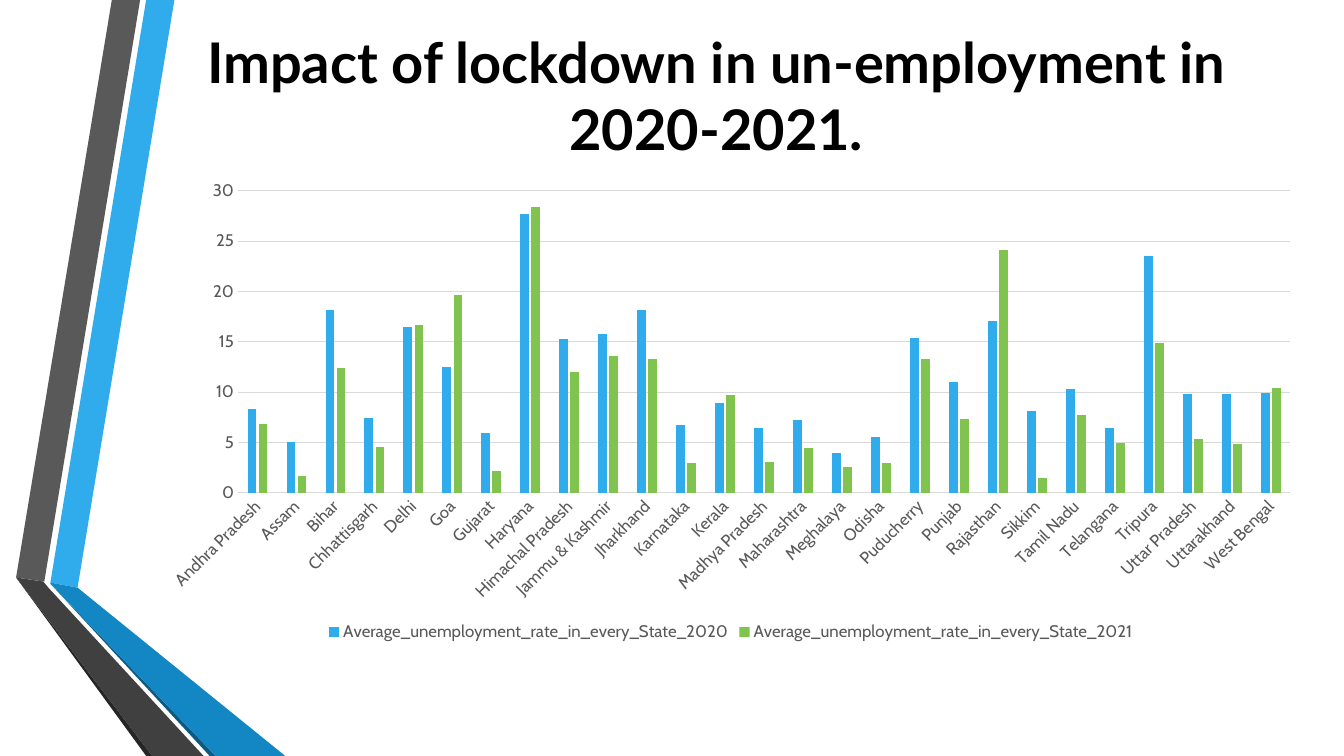
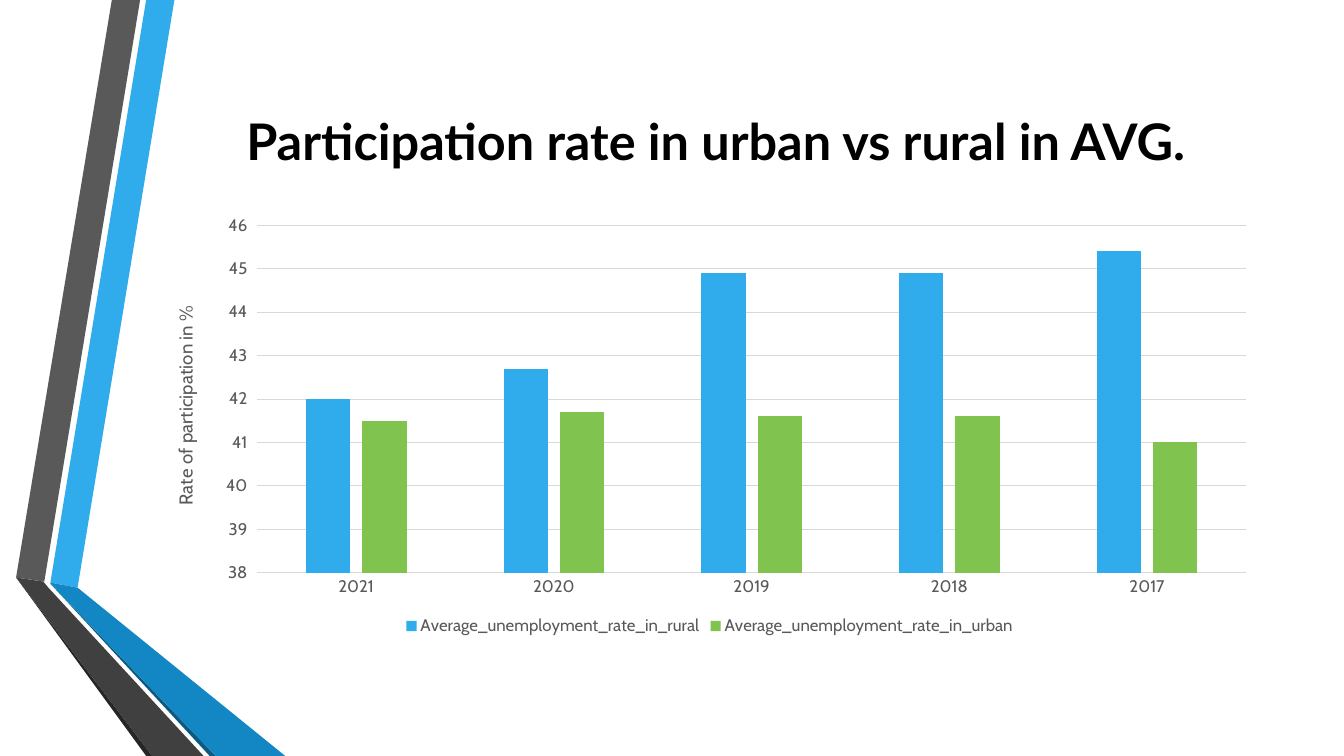
from lxml import etree
from pptx import Presentation
from pptx.chart.data import CategoryChartData
from pptx.dml.color import RGBColor
from pptx.enum.chart import (
    XL_CHART_TYPE, XL_LEGEND_POSITION, XL_TICK_LABEL_POSITION, XL_TICK_MARK)
from pptx.enum.text import MSO_ANCHOR, PP_ALIGN
from pptx.oxml.ns import qn
from pptx.util import Inches, Pt

COLUMNS = XL_CHART_TYPE.COLUMN_CLUSTERED
BOTTOM = XL_LEGEND_POSITION.BOTTOM
NO_TICK = XL_TICK_MARK.NONE
LOW = XL_TICK_LABEL_POSITION.LOW
MIDDLE = MSO_ANCHOR.MIDDLE
CENTER = PP_ALIGN.CENTER

# Shared look
TITLE_FONT, CHART_FONT = "Lato", "Cabin"
BLACK, LABEL, RULE = "000000", "595959", "D9D9D9"
SERIES_COLORS = ["30ACEC", "80C34F"]

# The slide is a grid of 1333 columns by 750 rows
CELL = Inches(0.01)
COLS, ROWS = 1333, 750

# Folded ribbons at the left edge, as (colour, corners in grid cells)
RIBBONS = [
    ("30ACEC", [(50, 578), (77, 583), (173, 0), (145, 0)]),
    ("595959", [(139, 0), (111, 0), (16, 573), (44, 577)]),
    ("262626", [(16, 573), (145, ROWS), (151, ROWS)]),
    ("0C5A82", [(50, 579), (208, ROWS), (214, ROWS)]),
    ("1287C3", [(50, 578), (50, 579), (214, ROWS), (283, ROWS), (77, 583)]),
    ("404040", [(16, 573), (151, ROWS), (202, ROWS), (48, 583), (43, 577)]),
]

# Boxes are left, top, width, height in grid cells; plots are shares of the chart
SLIDES = [
    {
        "title": "Impact of lockdown in un-employment in 2020-2021.",
        "title_box": (147, 0, 1127, 188),
        "title_size": 40,
        "chart_box": (147, 170, 1156, 471),
        "plot": {"x": 0.077, "y": 0.041, "w": 0.903, "h": 0.636},
        "scale": (0, 30, 5),
        "label_angle": -45,
        "cats": [
            "Andhra Pradesh", "Assam", "Bihar", "Chhattisgarh", "Delhi", "Goa",
            "Gujarat", "Haryana", "Himachal Pradesh", "Jammu & Kashmir",
            "Jharkhand", "Karnataka", "Kerala", "Madhya Pradesh", "Maharashtra",
            "Meghalaya", "Odisha", "Puducherry", "Punjab", "Rajasthan", "Sikkim",
            "Tamil Nadu", "Telangana", "Tripura", "Uttar Pradesh",
            "Uttarakhand", "West Bengal",
        ],
        "series": {
            "Average_unemployment_rate_in_every_State_2020": [
                8.3, 5, 18.1, 7.4, 16.5, 12.5, 5.9, 27.7, 15.3, 15.8, 18.2, 6.7,
                8.9, 6.4, 7.2, 3.9, 5.5, 15.4, 11, 17.1, 8.1, 10.3, 6.4, 23.5,
                9.8, 9.8, 9.9],
            "Average_unemployment_rate_in_every_State_2021": [
                6.8, 1.7, 12.4, 4.5, 16.7, 19.6, 2.2, 28.4, 12, 13.6, 13.3, 2.9,
                9.7, 3, 4.4, 2.5, 2.9, 13.3, 7.3, 24.1, 1.5, 7.7, 4.9, 14.9,
                5.3, 4.8, 10.4],
        },
    },
    {
        "title": "Participation rate in urban vs rural in AVG.",
        "title_box": (162, 75, 1096, 128),
        "title_size": 36,
        "chart_box": (150, 205, 1108, 430),
        "plot": {"x": 0.095, "y": 0.043, "w": 0.885, "h": 0.802},
        "scale": (38, 46, 1),
        "label_angle": 0,
        "axis_title": "Rate of participation in %",
        "cats": ["2021", "2020", "2019", "2018", "2017"],
        "series": {
            "Average_unemployment_rate_in_rural": [42, 42.7, 44.9, 44.9, 45.4],
            "Average_unemployment_rate_in_urban": [41.5, 41.7, 41.6, 41.6, 41],
        },
    },
]


def rgb(color):
    return RGBColor.from_string(color)


def place(element, index, mode, shares):
    """Fix a chart part at the given shares of the chart's size."""
    old = element.find(qn("c:layout"))
    if old is not None:
        element.remove(old)
    layout = etree.Element(qn("c:layout"))
    element.insert(index, layout)
    manual = etree.SubElement(layout, qn("c:manualLayout"))
    if mode == "inner":
        etree.SubElement(manual, qn("c:layoutTarget")).set("val", mode)
    for key in ("x", "y"):
        etree.SubElement(manual, qn(f"c:{key}Mode")).set("val", "edge")
    for key, share in shares.items():
        etree.SubElement(manual, qn(f"c:{key}")).set("val", str(share))


prs = Presentation()
prs.slide_width, prs.slide_height = COLS * CELL, ROWS * CELL

for page in SLIDES:
    s = prs.slides.add_slide(prs.slide_layouts[6])

    # Ribbons
    for color, corners in RIBBONS:
        outline = s.shapes.build_freeform(*corners[0], scale=CELL)
        outline.add_line_segments(corners[1:], close=True)
        sp = outline.convert_to_shape()
        sp.shadow.inherit = False
        sp.fill.solid()
        sp.fill.fore_color.rgb = rgb(color)
        sp.line.fill.background()

    # Title
    tf = s.shapes.add_textbox(*[n * CELL for n in page["title_box"]]).text_frame
    tf.word_wrap = True
    tf.vertical_anchor = MIDDLE
    tf.text = page["title"]
    p = tf.paragraphs[0]
    p.alignment = CENTER
    font = p.runs[0].font
    font.name, font.size, font.bold = TITLE_FONT, Pt(page["title_size"]), True
    font.color.rgb = rgb(BLACK)

    # Chart
    data = CategoryChartData()
    data.categories = page["cats"]
    for name, values in page["series"].items():
        data.add_series(name, values)
    box = [n * CELL for n in page["chart_box"]]
    chart = s.shapes.add_chart(COLUMNS, *box, data).chart
    chart.has_title = False
    chart.font.name, chart.font.size = CHART_FONT, Pt(12)
    chart.font.color.rgb = rgb(LABEL)
    chart.has_legend = True
    chart.legend.position = BOTTOM
    chart.legend.include_in_layout = False

    plot = chart.plots[0]
    plot.gap_width, plot.overlap = 219, -27
    plot.vary_by_categories = False
    for series, color in zip(plot.series, SERIES_COLORS):
        series.format.fill.solid()
        series.format.fill.fore_color.rgb = rgb(color)
    plot_area = chart.element.find(".//" + qn("c:plotArea"))
    place(plot_area, 0, "inner", page["plot"])

    # Axes
    cat_axis, val_axis = chart.category_axis, chart.value_axis
    for axis in (cat_axis, val_axis):
        axis.major_tick_mark = axis.minor_tick_mark = NO_TICK
        font = axis.tick_labels.font
        font.name, font.size = CHART_FONT, Pt(12)
        font.color.rgb = rgb(LABEL)
    val_axis.minimum_scale, val_axis.maximum_scale, val_axis.major_unit = page["scale"]
    val_axis.format.line.fill.background()
    for line in (cat_axis.format.line, val_axis.major_gridlines.format.line):
        line.color.rgb = rgb(RULE)
        line.width = Pt(0.75)
    body = plot_area.find(f"{qn('c:catAx')}/{qn('c:txPr')}/{qn('a:bodyPr')}")
    body.set("rot", str(page["label_angle"] * 60000))

    # Value axis title
    if "axis_title" in page:
        val_axis.tick_label_position = LOW
        tf = val_axis.axis_title.text_frame
        tf.text = page["axis_title"]
        font = tf.paragraphs[0].runs[0].font
        font.name, font.size, font.bold = CHART_FONT, Pt(13.3), False
        font.color.rgb = rgb(LABEL)
        title = plot_area.find(f"{qn('c:valAx')}/{qn('c:title')}")
        title.find(".//" + qn("a:bodyPr")).set("rot", "-5400000")
        place(title, 1, "edge", {"x": 0.016, "y": 0.22})

prs.save("out.pptx")
